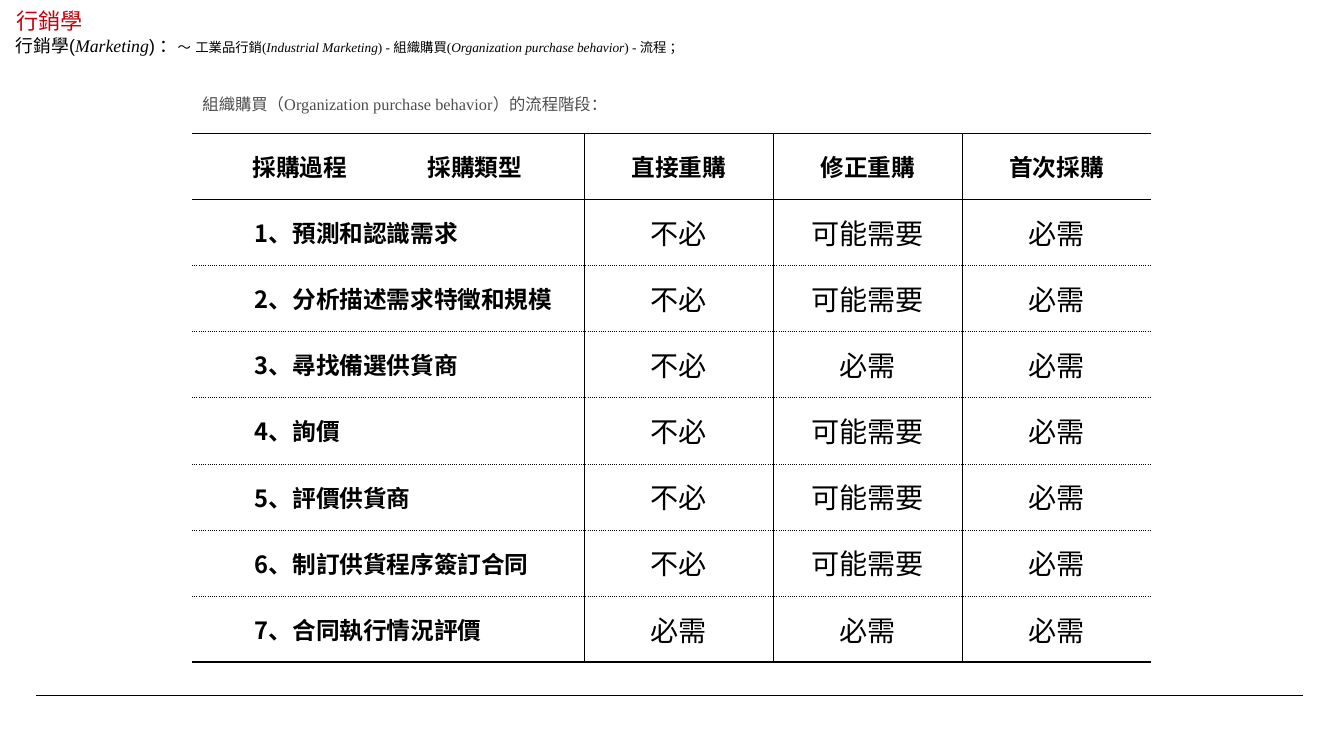
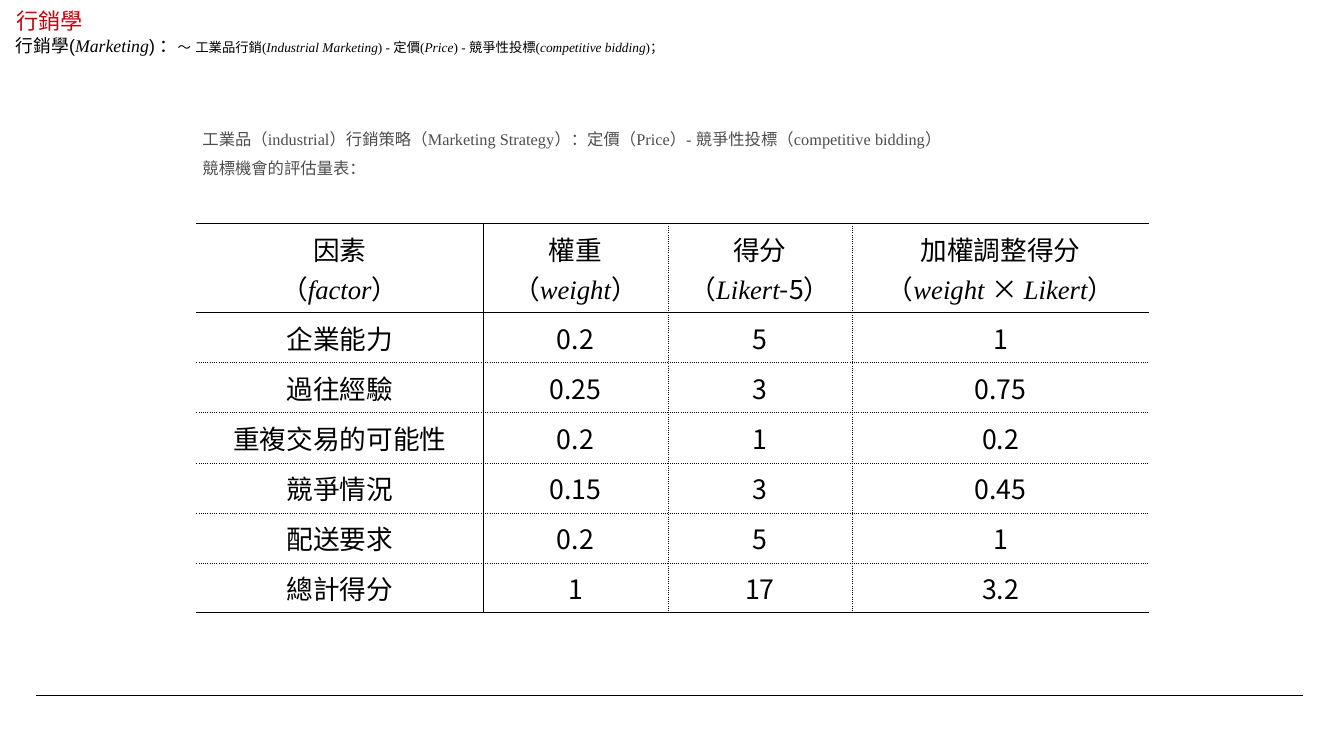
from dataclasses import dataclass

from lxml.etree import SubElement
from pptx import Presentation
from pptx.dml.color import RGBColor
from pptx.enum.shapes import MSO_CONNECTOR
from pptx.enum.text import MSO_ANCHOR, MSO_AUTO_SIZE, PP_ALIGN
from pptx.oxml.ns import qn
from pptx.util import Emu, Pt

PX = 9144
SANS, SERIF, CJK = "Arial", "Times New Roman", "Noto Sans CJK SC"
BLACK, RED, GREY = "000000", "C7000B", "4D4D4D"
HEADING = "行銷學"


@dataclass(frozen=True)
class Style:
    size: float
    font: str = CJK
    color: str = BLACK
    bold: bool = False


@dataclass(frozen=True)
class Rule:
    width: float
    dash: str = "solid"


@dataclass(frozen=True)
class CellFormat:
    style: Style
    align: PP_ALIGN = PP_ALIGN.CENTER
    margins: tuple[int, int, int, int] = (7, 0, 7, 0)
    tab: int = 0


@dataclass(frozen=True)
class Grid:
    left: int
    top: int
    widths: list[int]
    head_height: int
    row_height: int
    rows: list[list[str]]
    edge: Rule
    columns: list[Rule]
    corner: CellFormat
    head: CellFormat
    label: CellFormat
    value: CellFormat


@dataclass(frozen=True)
class Page:
    topic: str
    caption: str
    caption_top: int
    caption_height: int
    grid: Grid


HEAD_RULE, DOTTED = Rule(0.75), Rule(0.25, "sysDot")
BOLD, PLAIN = Style(16, bold=True), CellFormat(Style(18))

PAGES = [
    Page(
        "工業品行銷(*Industrial Marketing*) - 組織購買(*Organization purchase behavior*) - 流程 ；",
        "組織購買（Organization purchase behavior）的流程階段：",
        74, 34,
        Grid(
            180, 125, [368, 177, 177, 177], 62, 62,
            [
                ["採購過程\t採購類型", "直接重購", "修正重購", "首次採購"],
                ["1、預測和認識需求", "不必", "可能需要", "必需"],
                ["2、分析描述需求特徵和規模", "不必", "可能需要", "必需"],
                ["3、尋找備選供貨商", "不必", "必需", "必需"],
                ["4、詢價", "不必", "可能需要", "必需"],
                ["5、評價供貨商", "不必", "可能需要", "必需"],
                ["6、制訂供貨程序簽訂合同", "不必", "可能需要", "必需"],
                ["7、合同執行情況評價", "必需", "必需", "必需"],
            ],
            Rule(1), [Rule(0.75), Rule(0.5), Rule(0.5)],
            CellFormat(BOLD, PP_ALIGN.LEFT, (57, 0, 7, 0), 164),
            CellFormat(BOLD),
            CellFormat(BOLD, PP_ALIGN.JUSTIFY, (59, 15, 15, 15)),
            CellFormat(Style(19)),
        ),
    ),
    Page(
        "工業品行銷(*Industrial Marketing*) - 定價(*Price*) - 競爭性投標(*competitive bidding*)；",
        "工業品（industrial）行銷策略（Marketing Strategy）：定價（Price）- 競爭性投標（competitive bidding）\n"
        "競標機會的評估量表：",
        107, 62,
        Grid(
            184, 210, [269, 173, 173, 278], 83, 47,
            [
                ["因素\n（*factor*）", "權重\n（*weight*）", "得分\n（*Likert*-5）",
                 "加權調整得分\n（*weight *× *Likert*）"],
                ["企業能力", "0.2", "5", "1"],
                ["過往經驗", "0.25", "3", "0.75"],
                ["重複交易的可能性", "0.2", "1", "0.2"],
                ["競爭情況", "0.15", "3", "0.45"],
                ["配送要求", "0.2", "5", "1"],
                ["總計得分", "1", "17", "3.2"],
            ],
            Rule(0.75), [Rule(0.5), DOTTED, DOTTED],
            PLAIN, PLAIN, PLAIN, PLAIN,
        ),
    ),
]


def px(n: int) -> Emu:
    return Emu(n * PX)


def rgb(value: str) -> RGBColor:
    return RGBColor.from_string(value)


def format_run(r, style: Style, italic: bool = False) -> None:
    font = r.font
    font.size, font.bold, font.italic = Pt(style.size), style.bold, italic
    font.color.rgb = rgb(style.color)
    font.name = SERIF if italic else style.font
    SubElement(r.font._element, qn("a:ea")).set("typeface", CJK)


def add_rich(p, text: str, style: Style) -> None:
    for i, part in enumerate(text.split("*")):
        if part:
            r = p.add_run()
            r.text = part
            format_run(r, style, i % 2 == 1)


def place(sp, left: int, top: int, width: int, height: int) -> None:
    sp.left, sp.top, sp.width, sp.height = map(px, (left, top, width, height))


def add_box(s, left: int, top: int, width: int, height: int):
    tf = s.shapes.add_textbox(*map(px, (left, top, width, height))).text_frame
    tf.word_wrap = True
    return tf


def add_frame(s, topic: str) -> None:
    line = s.shapes.add_connector(MSO_CONNECTOR.STRAIGHT, px(34), px(652), px(1222), px(652))
    line.line.color.rgb = rgb(BLACK)
    line.line.width = Pt(0.5)
    SubElement(line._element.spPr, qn("a:effectLst"))

    title = s.shapes.title
    place(title, 5, 7, 932, 24)
    tf = title.text_frame
    tf.text = HEADING
    tf.auto_size = MSO_AUTO_SIZE.NONE
    tf.vertical_anchor = MSO_ANCHOR.MIDDLE
    p = tf.paragraphs[0]
    p.alignment = PP_ALIGN.LEFT
    format_run(p.runs[0], Style(15, SANS, RED))

    p = add_box(s, 5, 26, 1043, 32).paragraphs[0]
    add_rich(p, f"{HEADING}(*Marketing*) ：", Style(12, SANS))
    add_rich(p, "～", Style(9, SANS))
    add_rich(p, " ", Style(13, SANS))
    add_rich(p, topic, Style(9, SERIF))


def add_caption(s, page: Page) -> None:
    tf = add_box(s, 180, page.caption_top, 900, page.caption_height)
    tf.text = page.caption
    for p in tf.paragraphs:
        p.line_spacing = 1.5
        format_run(p.runs[0], Style(11, SERIF, GREY))


def set_border(cell, side: str, rule: Rule | None) -> None:
    ln = SubElement(cell._tc.get_or_add_tcPr(), qn(f"a:ln{side}"))
    if rule is None:
        SubElement(ln, qn("a:noFill"))
        return
    ln.set("w", str(Pt(rule.width)))
    SubElement(SubElement(ln, qn("a:solidFill")), qn("a:srgbClr")).set("val", BLACK)
    SubElement(ln, qn("a:prstDash")).set("val", rule.dash)


def fill_cell(cell, text: str, fmt: CellFormat) -> None:
    cell.vertical_anchor = MSO_ANCHOR.MIDDLE
    cell.margin_left, cell.margin_top, cell.margin_right, cell.margin_bottom = map(px, fmt.margins)
    tf = cell.text_frame
    for i, line in enumerate(text.split("\n")):
        p = tf.add_paragraph() if i else tf.paragraphs[0]
        p.alignment = fmt.align
        if fmt.tab:
            tabs = SubElement(p._p.get_or_add_pPr(), qn("a:tabLst"))
            SubElement(tabs, qn("a:tab"), pos=str(px(fmt.tab)), algn="l")
        add_rich(p, line, fmt.style)


def add_grid(s, grid: Grid) -> None:
    heights = [grid.head_height] + [grid.row_height] * (len(grid.rows) - 1)
    table = s.shapes.add_table(
        len(heights), len(grid.widths), px(grid.left), px(grid.top),
        px(sum(grid.widths)), px(sum(heights)),
    ).table
    table.first_row = table.horz_banding = False
    for column, width in zip(table.columns, grid.widths):
        column.width = px(width)
    for row, height in zip(table.rows, heights):
        row.height = px(height)

    across = [grid.edge, HEAD_RULE] + [DOTTED] * (len(heights) - 2) + [grid.edge]
    down = [None, *grid.columns, None]
    for i, texts in enumerate(grid.rows):
        first, rest = (grid.label, grid.value) if i else (grid.corner, grid.head)
        for j, text in enumerate(texts):
            cell = table.cell(i, j)
            fill_cell(cell, text, rest if j else first)
            for side, rule in zip("LRTB", (down[j], down[j + 1], across[i], across[i + 1])):
                set_border(cell, side, rule)
            cell.fill.background()


def main() -> None:
    prs = Presentation()
    prs.slide_width, prs.slide_height = px(1260), px(709)
    for page in PAGES:
        s = prs.slides.add_slide(prs.slide_layouts[5])
        add_frame(s, page.topic)
        add_caption(s, page)
        add_grid(s, page.grid)
    prs.save("out.pptx")


if __name__ == "__main__":
    main()
